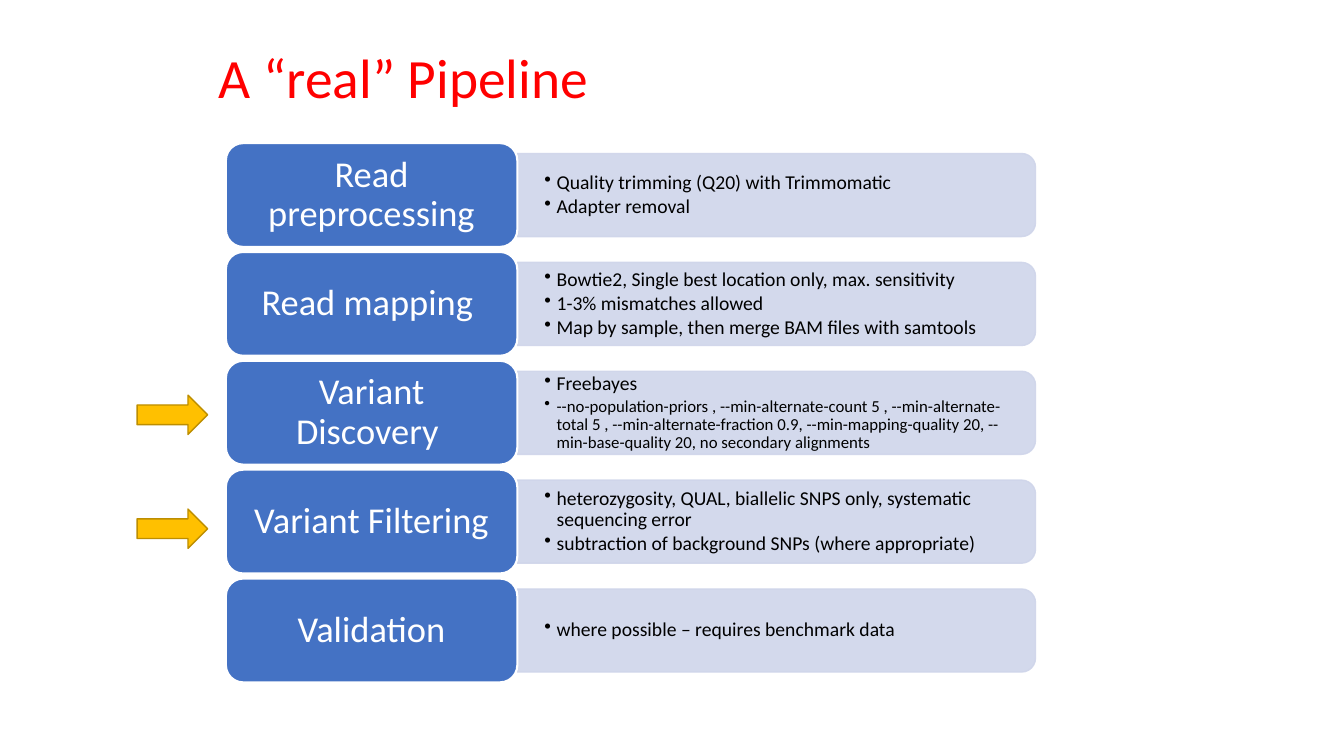
from dataclasses import dataclass

from lxml.etree import SubElement
from pptx import Presentation
from pptx.dml.color import RGBColor as RGB
from pptx.enum.shapes import MSO_SHAPE as Shape
from pptx.enum.text import MSO_ANCHOR as Anchor, PP_ALIGN as Align
from pptx.oxml.ns import qn
from pptx.util import Inches, Pt


@dataclass(frozen=True)
class Theme:
    font: str = "Calibri"
    red: str = "FF0000"
    blue: str = "4472C4"
    pale: str = "CFD5EA"
    gold: str = "FFC000"
    edge: str = "BD8E00"
    white: str = "FFFFFF"
    black: str = "000000"
    title: float = 39.6
    label: float = 26
    body: float = 14
    small: float = 12


@dataclass(frozen=True)
class Box:
    x: float
    y: float
    w: float
    h: float

    def emu(self):
        return [Inches(v) for v in (self.x, self.y, self.w, self.h)]


THEME = Theme()
SIZE = (13.33, 7.5)
STEPS = [
    ("Read preprocessing", [
        ("Quality trimming (Q20) with Trimmomatic", THEME.body),
        ("Adapter removal", THEME.body)]),
    ("Read mapping ", [
        ("Bowtie2, Single best location only, max. sensitivity", THEME.body),
        ("1-3% mismatches allowed", THEME.body),
        ("Map by sample, then merge BAM files with samtools", THEME.body)]),
    ("Variant Discovery ", [
        ("Freebayes", THEME.body),
        ("--no-population-priors , --min-alternate-count 5 , "
         "--min-alternate-total 5 , --min-alternate-fraction 0.9, "
         "--min-mapping-quality 20, --min-base-quality 20, "
         "no secondary alignments", THEME.small)]),
    ("Variant Filtering", [
        ("heterozygosity, QUAL, biallelic SNPS only, "
         "systematic sequencing error", THEME.body),
        ("subtraction of background SNPs (where appropriate)", THEME.body)]),
    ("Validation", [
        ("where possible – requires benchmark data", THEME.body)]),
]


def add_run(para, text, size, color):
    run = para.add_run()
    run.text = text
    run.font.name = THEME.font
    run.font.size = Pt(size)
    run.font.color.rgb = RGB.from_string(color)


def set_frame(frame, side, top):
    frame.word_wrap = True
    frame.vertical_anchor = Anchor.MIDDLE
    frame.margin_left = frame.margin_right = Inches(side)
    frame.margin_top = frame.margin_bottom = Inches(top)


def add_form(slide, kind, box, fill, line, width):
    form = slide.shapes.add_shape(kind, *box.emu())
    form.shadow.inherit = False
    form.fill.solid()
    form.fill.fore_color.rgb = RGB.from_string(fill)
    form.line.color.rgb = RGB.from_string(line)
    form.line.width = Pt(width)
    return form


def add_title(slide, box):
    title = slide.shapes.title
    title.left, title.top, title.width, title.height = box.emu()
    set_frame(title.text_frame, 0.1, 0.05)
    para = title.text_frame.paragraphs[0]
    para.alignment = Align.LEFT
    para.line_spacing = 0.9
    add_run(para, "A “real” Pipeline", THEME.title, THEME.red)


def add_panel(slide, box):
    # Upright shape turned a quarter, so its round corners face right
    turned = Box(box.x + (box.w - box.h) / 2, box.y + (box.h - box.w) / 2,
                 box.h, box.w)
    panel = add_form(slide, Shape.ROUND_2_SAME_RECTANGLE, turned,
                     THEME.pale, THEME.pale, 1)
    panel.rotation = 90
    for color in panel._element.spPr.iter(qn("a:srgbClr")):
        SubElement(color, qn("a:alpha"), val="90000")


def add_notes(slide, box, items):
    frame = slide.shapes.add_textbox(*box.emu()).text_frame
    set_frame(frame, 0.27, 0.14)
    for i, (text, size) in enumerate(items):
        para = frame.add_paragraph() if i else frame.paragraphs[0]
        props = para._p.get_or_add_pPr()
        props.set("marL", str(Inches(0.12)))
        props.set("indent", str(-Inches(0.12)))
        SubElement(props, qn("a:buChar"), char="•")
        para.level = 1
        para.line_spacing = 0.9
        para.space_after = Pt(0.15 * size)
        add_run(para, text, size, THEME.black)


def add_label(slide, box, text):
    label = add_form(slide, Shape.ROUNDED_RECTANGLE, box,
                     THEME.blue, THEME.white, 1.5)
    set_frame(label.text_frame, 0.16, 0.1)
    para = label.text_frame.paragraphs[0]
    para.alignment = Align.CENTER
    para.line_spacing = 0.9
    add_run(para, text, THEME.label, THEME.white)


def add_step(slide, box, name, items):
    split = 0.36 * box.w
    panel = Box(box.x + split, box.y + 0.1 * box.h,
                box.w - split, 0.8 * box.h)
    add_panel(slide, panel)
    add_notes(slide, Box(panel.x, panel.y + 0.04, panel.w - 0.04,
                         panel.h - 0.08), items)
    add_label(slide, Box(box.x, box.y, split, box.h), name)


def add_steps(slide, box):
    gap = 0.05
    high = (box.h - gap * (len(STEPS) - 1)) / len(STEPS)
    for i, (name, items) in enumerate(STEPS):
        row = Box(box.x, box.y + i * (high + gap), box.w, high)
        add_step(slide, row, name, items)


def add_arrows(slide, box):
    high = 0.39
    for top in (box.y, box.y + box.h - high):
        add_form(slide, Shape.RIGHT_ARROW, Box(box.x, top, box.w, high),
                 THEME.gold, THEME.edge, 1)


def main():
    deck = Presentation()
    deck.slide_width, deck.slide_height = [Inches(v) for v in SIZE]
    slide = deck.slides.add_slide(deck.slide_layouts[5])
    # Heading, pipeline rows, then markers beside the key steps
    add_title(slide, Box(2.07, 0.44, 7.73, 0.72))
    add_steps(slide, Box(2.24, 1.42, 8.03, 5.35))
    add_arrows(slide, Box(1.36, 3.92, 0.7, 1.52))
    deck.save("out.pptx")


if __name__ == "__main__":
    main()
